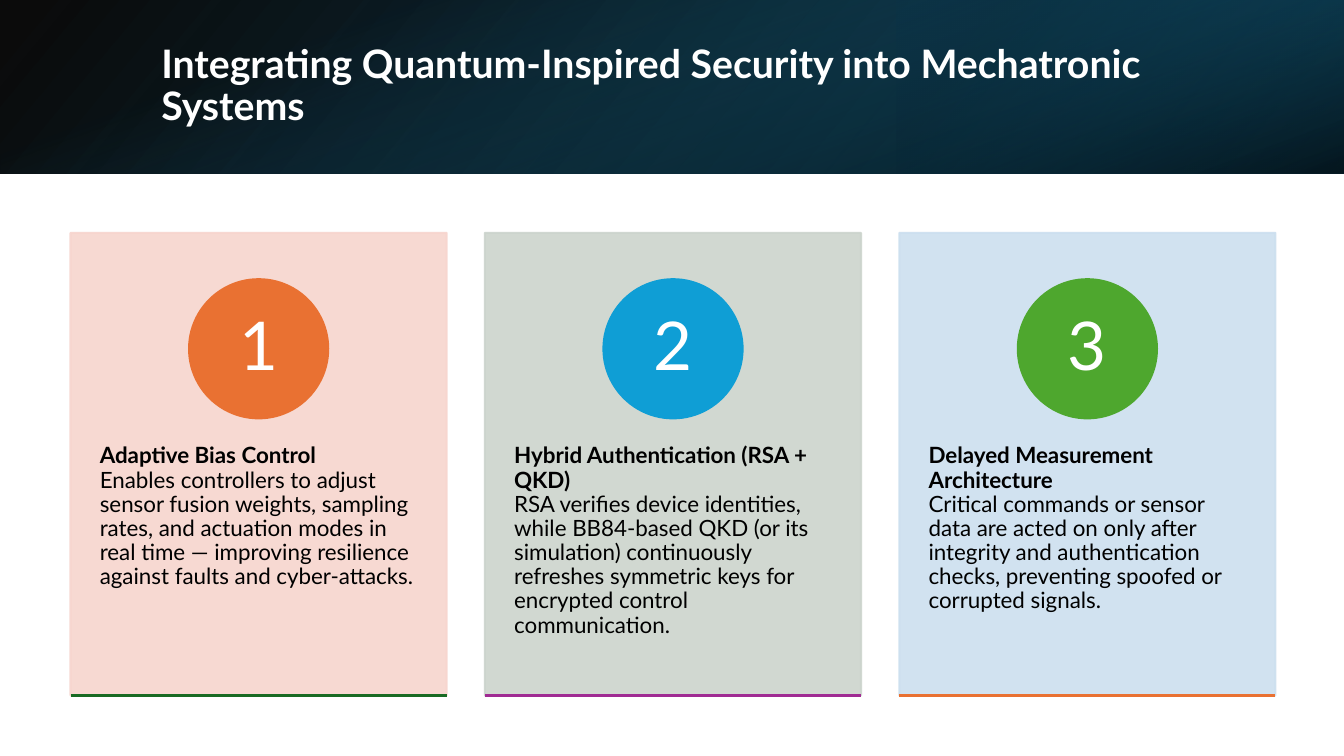
from dataclasses import dataclass

from lxml.etree import SubElement
from pptx import Presentation
from pptx.dml.color import RGBColor
from pptx.enum.shapes import MSO_CONNECTOR, MSO_SHAPE
from pptx.enum.text import MSO_ANCHOR, PP_ALIGN
from pptx.oxml import parse_xml
from pptx.oxml.ns import nsdecls, qn
from pptx.util import Inches, Pt

FONT = "Lato"
WHITE = RGBColor(0xFF, 0xFF, 0xFF)
BLACK = RGBColor(0x00, 0x00, 0x00)
NAVY = RGBColor(0x10, 0x48, 0x62)
DEEP = RGBColor(0x0B, 0x30, 0x41)
TEAL = RGBColor(0x15, 0x60, 0x82)
PINK = RGBColor(0xF7, 0xD5, 0xCE)
SAGE = RGBColor(0xCC, 0xD4, 0xCD)
SKY = RGBColor(0xCC, 0xDF, 0xEF)
ORANGE = RGBColor(0xE9, 0x71, 0x32)
BLUE = RGBColor(0x0F, 0x9E, 0xD5)
GREEN = RGBColor(0x4E, 0xA7, 0x2E)
FOREST = RGBColor(0x19, 0x6B, 0x24)
PURPLE = RGBColor(0xA0, 0x2B, 0x93)

SLIDE_W, BAND_H = 13.33, 1.72
CARD_X, CARD_Y, CARD_W, CARD_H, PITCH = 0.7, 2.31, 3.73, 4.59, 4.11
CIRCLE, NUMBER_BOX = 1.38, 0.97


@dataclass
class Stop:
    pos: int
    color: RGBColor
    alpha: int


@dataclass
class Band:
    box: tuple[float, float, float, float]
    stops: tuple[Stop, Stop]
    angle: int
    rotation: int = 0
    flip: bool = False


@dataclass
class Card:
    heading: str
    body: str
    fill: RGBColor
    circle: RGBColor
    rule: RGBColor


BANDS = [
    Band((0, 0, SLIDE_W, BAND_H),
         (Stop(0, BLACK, 96), Stop(100, NAVY, 100)), 140, flip=True),
    Band((8.89, 0, 4.44, BAND_H),
         (Stop(19, DEEP, 68), Stop(100, TEAL, 79)), 320, 180, True),
    Band(((SLIDE_W - BAND_H) / 2, (BAND_H - SLIDE_W) / 2, BAND_H, SLIDE_W),
         (Stop(23, TEAL, 0), Stop(99, BLACK, 74)), 340, 90),
]

CARDS = [
    Card("Adaptive Bias Control",
         "Enables controllers to adjust sensor fusion weights, sampling rates, and "
         "actuation modes in real time — improving resilience against faults and "
         "cyber-attacks.", PINK, ORANGE, FOREST),
    Card("Hybrid Authentication (RSA + QKD)",
         "RSA verifies device identities, while BB84-based QKD (or its simulation) "
         "continuously refreshes symmetric keys for encrypted control communication.",
         SAGE, BLUE, PURPLE),
    Card("Delayed Measurement Architecture",
         "Critical commands or sensor data are acted on only after integrity and "
         "authentication checks, preventing spoofed or corrupted signals.",
         SKY, GREEN, ORANGE),
]


def add_run(p, text: str, size: float, color: RGBColor, bold: bool = False) -> None:
    r = p.add_run()
    r.text = text
    r.font.name = FONT
    r.font.size = Pt(size)
    r.font.bold = bold
    r.font.color.rgb = color


def add_box(s, x: float, y: float, w: float, h: float,
            inset_x: float, inset_y: float, align=PP_ALIGN.LEFT,
            anchor=MSO_ANCHOR.TOP):
    tf = s.shapes.add_textbox(Inches(x), Inches(y), Inches(w), Inches(h)).text_frame
    tf.word_wrap = True
    tf.vertical_anchor = anchor
    tf.margin_left = tf.margin_right = Inches(inset_x)
    tf.margin_top = tf.margin_bottom = Inches(inset_y)
    p = tf.paragraphs[0]
    p.alignment = align
    p.line_spacing = 0.9
    return p


def add_plain(s, kind, x: float, y: float, w: float, h: float,
              color: RGBColor, alpha: int = 100) -> None:
    sp = s.shapes.add_shape(kind, Inches(x), Inches(y), Inches(w), Inches(h))
    sp.shadow.inherit = False
    sp.fill.solid()
    sp.fill.fore_color.rgb = color
    sp.line.color.rgb = color
    sp.line.width = Pt(1.5)
    if alpha < 100:
        for clr in sp._element.spPr.iter(qn("a:srgbClr")):
            SubElement(clr, qn("a:alpha"), val=str(alpha * 1000))


def add_band(s, band: Band) -> None:
    sp = s.shapes.add_shape(MSO_SHAPE.RECTANGLE, *map(Inches, band.box))
    sp.shadow.inherit = False
    sp.rotation = band.rotation
    sp.line.fill.background()
    spPr = sp._element.spPr
    if band.flip:
        spPr.find(qn("a:xfrm")).set("flipH", "1")
    stops = "".join(
        f'<a:gs pos="{st.pos * 1000}"><a:srgbClr val="{st.color}">'
        f'<a:alpha val="{st.alpha * 1000}"/></a:srgbClr></a:gs>'
        for st in band.stops)
    spPr.find(qn("a:prstGeom")).addnext(parse_xml(
        f'<a:gradFill {nsdecls("a")} rotWithShape="1"><a:gsLst>{stops}</a:gsLst>'
        f'<a:lin ang="{band.angle * 60000}" scaled="0"/></a:gradFill>'))


def add_title(s, text: str) -> None:
    sp = s.shapes.title
    sp.left, sp.top = Inches(1.5), Inches(0.38)
    sp.width, sp.height = Inches(10.98), Inches(0.96)
    tf = sp.text_frame
    tf.word_wrap = True
    tf.vertical_anchor = MSO_ANCHOR.MIDDLE
    p = tf.paragraphs[0]
    p.alignment = PP_ALIGN.LEFT
    p.line_spacing = 0.9
    add_run(p, text, 28, WHITE, bold=True)
    s.shapes._spTree.append(sp._element)


def add_rule(s, x: float, y: float, w: float, color: RGBColor) -> None:
    c = s.shapes.add_connector(MSO_CONNECTOR.STRAIGHT, Inches(x), Inches(y),
                               Inches(x + w), Inches(y))
    c.line.color.rgb = color
    c.line.width = Pt(1.5)
    SubElement(c._element.spPr, qn("a:effectLst"))


def add_card(s, index: int, card: Card) -> None:
    x = CARD_X + index * PITCH
    add_plain(s, MSO_SHAPE.RECTANGLE, x, CARD_Y, CARD_W, CARD_H, card.fill, 90)
    p = add_box(s, x, 4.05, CARD_W, 2.75, 0.29, 0.36)
    add_run(p, card.heading, 16, BLACK, bold=True)
    p.add_line_break()
    add_run(p, card.body, 16, BLACK)
    add_plain(s, MSO_SHAPE.OVAL, x + (CARD_W - CIRCLE) / 2, 2.77,
              CIRCLE, CIRCLE, card.circle)
    p = add_box(s, x + (CARD_W - NUMBER_BOX) / 2, 2.97, NUMBER_BOX, NUMBER_BOX,
                0.11, 0.01, PP_ALIGN.CENTER, MSO_ANCHOR.MIDDLE)
    add_run(p, str(index + 1), 48, WHITE)
    add_rule(s, x, CARD_Y + CARD_H, CARD_W, card.rule)


def main() -> None:
    prs = Presentation()
    prs.slide_width, prs.slide_height = Inches(SLIDE_W), Inches(7.5)
    s = prs.slides.add_slide(prs.slide_layouts[5])
    for band in BANDS:
        add_band(s, band)
    add_title(s, "Integrating Quantum-Inspired Security into Mechatronic Systems")
    for index, card in enumerate(CARDS):
        add_card(s, index, card)
    prs.save("out.pptx")


if __name__ == "__main__":
    main()
